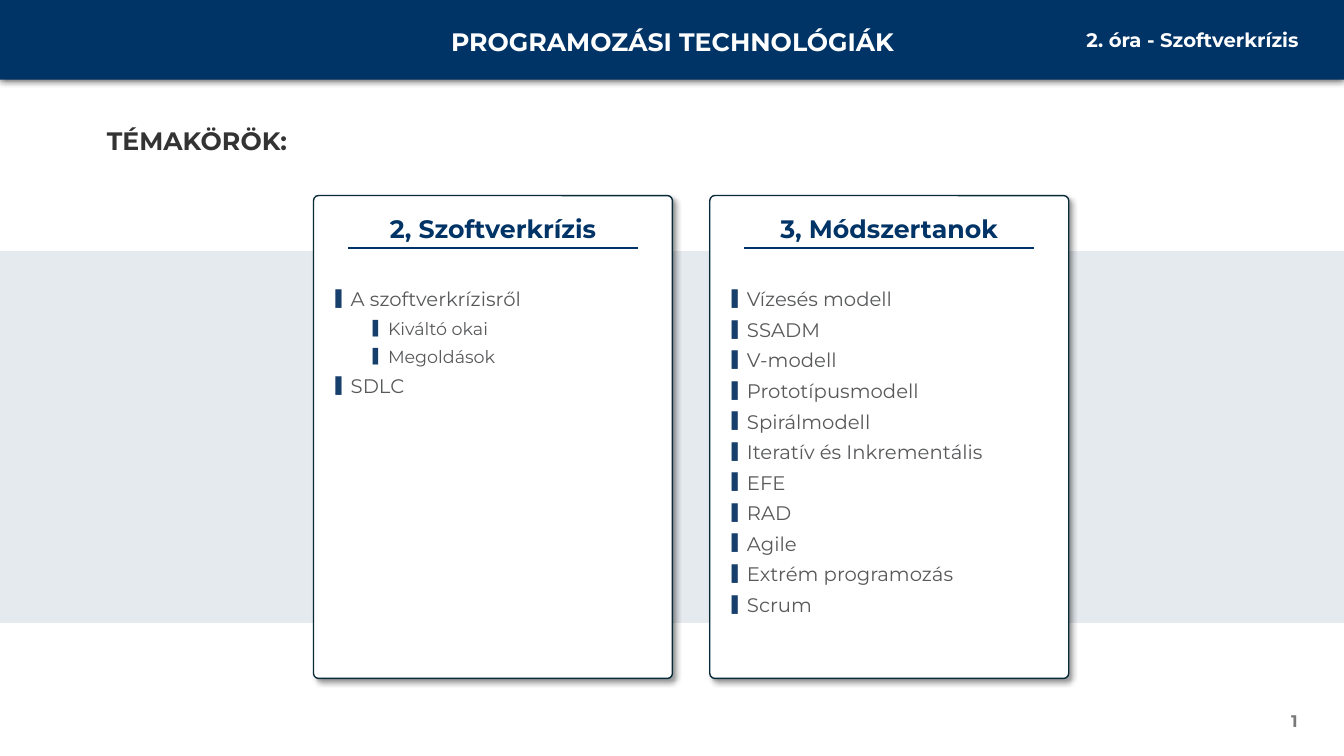
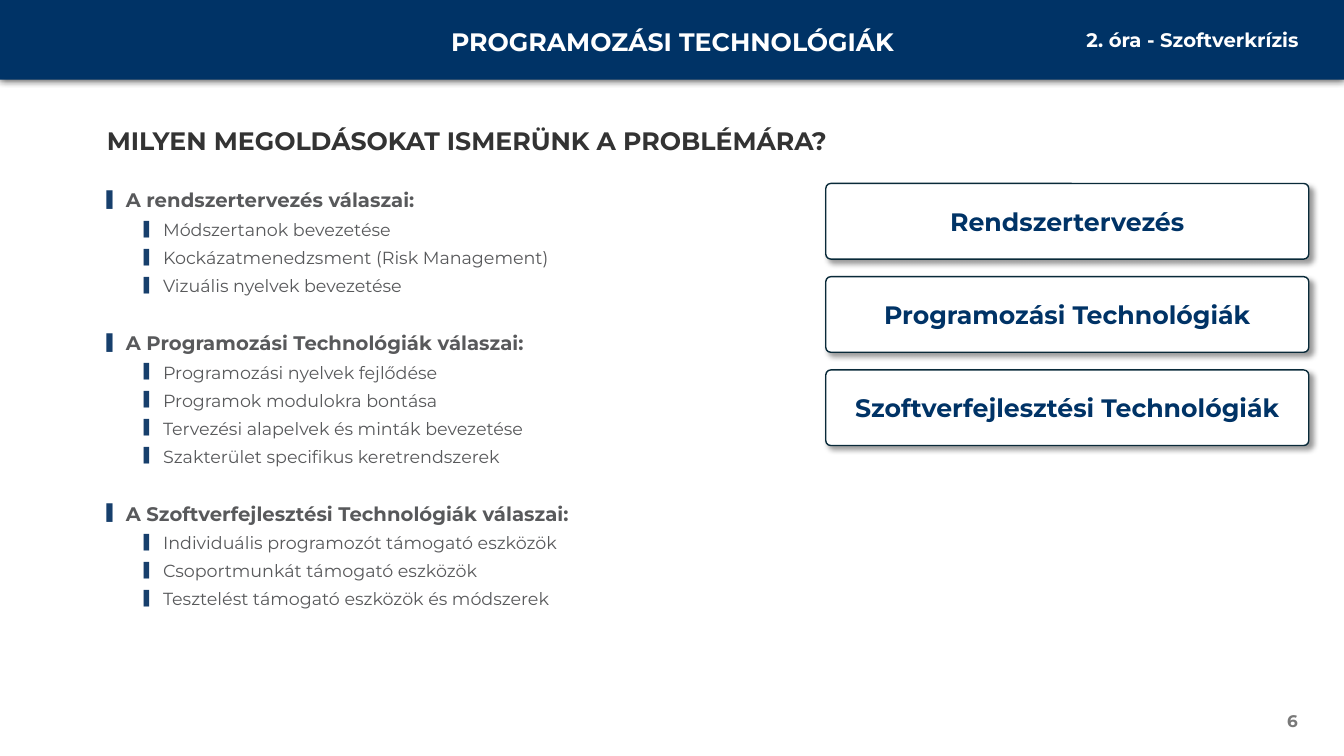
from lxml.etree import SubElement
from pptx import Presentation
from pptx.dml.color import RGBColor
from pptx.enum.shapes import MSO_CONNECTOR, MSO_SHAPE
from pptx.enum.text import MSO_ANCHOR, MSO_AUTO_SIZE, PP_ALIGN
from pptx.oxml.ns import qn
from pptx.util import Inches, Pt

WIDTH, HEIGHT = 13.33, 7.5
FONT = "Montserrat"
COLORS = {
    "navy": "003366", "white": "FFFFFF", "outline": "092A39", "heading": "333333",
    "body": "58595B", "bullet": "173F6C", "number": "797979", "shadow": "000000",
}
COURSE = "PROGRAMOZÁSI TECHNOLÓGIÁK"
LESSON = "2. óra - Szoftverkrízis"

TOPICS = {
    "title": "TÉMAKÖRÖK:",
    "number": "1",
    "columns": [
        ("2, Szoftverkrízis", [
            (0, "A szoftverkrízisről"), (1, "Kiváltó okai"), (1, "Megoldások"), (0, "SDLC"),
        ]),
        ("3, Módszertanok", [(0, method) for method in (
            "Vízesés modell", "SSADM", "V-modell", "Prototípusmodell", "Spirálmodell",
            "Iteratív és Inkrementális", "EFE", "RAD", "Agile", "Extrém programozás", "Scrum",
        )]),
    ],
}
SOLUTIONS = {
    "title": "MILYEN MEGOLDÁSOKAT ISMERÜNK A PROBLÉMÁRA?",
    "number": "6",
    "answers": [
        ("A rendszertervezés válaszai:", [
            "Módszertanok bevezetése",
            "Kockázatmenedzsment (Risk Management)",
            "Vizuális nyelvek bevezetése",
        ]),
        ("A Programozási Technológiák válaszai:", [
            "Programozási nyelvek fejlődése",
            "Programok modulokra bontása",
            "Tervezési alapelvek és minták bevezetése",
            "Szakterület specifikus keretrendszerek",
        ]),
        ("A Szoftverfejlesztési Technológiák válaszai:", [
            "Individuális programozót támogató eszközök",
            "Csoportmunkát támogató eszközök",
            "Tesztelést támogató eszközök és módszerek",
        ]),
    ],
    "fields": ["Rendszertervezés", "Programozási Technológiák", "Szoftverfejlesztési Technológiák"],
}

BAND_SHADOW = {"alpha": 80, "blur": 6, "distance": 0, "angle": 90}
CARD_SHADOW = {"alpha": 40, "blur": 4, "distance": 3, "angle": 45}
LEVELS = [{"size": Pt(14), "left": 0}, {"size": Pt(12.5), "left": 0.37}]
SECTION_GAP = 20


def rgb(name):
    return RGBColor.from_string(COLORS[name])


def box(left, top, width, height):
    return [Inches(value) for value in (left, top, width, height)]


def write(frame, text, size, color, align=PP_ALIGN.LEFT, anchor=MSO_ANCHOR.TOP):
    frame_format = {"word_wrap": True, "auto_size": MSO_AUTO_SIZE.NONE, "vertical_anchor": anchor}
    for name, value in frame_format.items():
        setattr(frame, name, value)
    paragraph = frame.paragraphs[0]
    paragraph.text, paragraph.alignment = text, align
    style(paragraph.font, Pt(size), color, True)


def style(font, size, color, bold):
    for name, value in {"name": FONT, "size": size, "bold": bold}.items():
        setattr(font, name, value)
    font.color.rgb = rgb(color)


def add_label(slide, area, *text_format):
    write(slide.shapes.add_textbox(*box(*area)).text_frame, *text_format)


def add_panel(slide, kind, area, fill, shadow=None):
    panel = slide.shapes.add_shape(kind, *box(*area))
    panel.fill.solid()
    panel.fill.fore_color.rgb = rgb(fill)
    panel.line.fill.background()
    panel.shadow.inherit = False
    if shadow:
        effects = panel._element.spPr.find(qn("a:effectLst"))
        outer = SubElement(effects, qn("a:outerShdw"), {
            "blurRad": str(Pt(shadow["blur"])), "dist": str(Pt(shadow["distance"])),
            "dir": str(shadow["angle"] * 60000), "algn": "tl", "rotWithShape": "0",
        })
        tint = SubElement(outer, qn("a:srgbClr"), val=COLORS["shadow"])
        SubElement(tint, qn("a:alpha"), val=str(shadow["alpha"] * 1000))
    return panel


def add_card(slide, area, heading, anchor):
    card = add_panel(slide, MSO_SHAPE.ROUNDED_RECTANGLE, area, "white", CARD_SHADOW)
    card.adjustments[0] = 0.05 / min(area[2:])
    card.line.color.rgb = rgb("outline")
    card.line.width = Pt(1)
    write(card.text_frame, heading, 18, "navy", PP_ALIGN.CENTER, anchor)
    return card


def add_rule(slide, left, right, y):
    rule = slide.shapes.add_connector(MSO_CONNECTOR.STRAIGHT, *box(left, y, right, y))
    rule.line.color.rgb = rgb("navy")
    rule.line.width = Pt(1.5)
    SubElement(rule._element.spPr, qn("a:effectLst"))


def add_bullets(slide, area, items, hanging, sections=False):
    frame = slide.shapes.add_textbox(*box(*area)).text_frame
    frame.word_wrap = True
    for index, (level, text) in enumerate(items):
        paragraph = frame.add_paragraph() if index else frame.paragraphs[0]
        opens_section = sections and level == 0
        gap = SECTION_GAP if opens_section and index else 0
        paragraph_format = {
            "text": text, "level": level, "space_before": Pt(3 + gap), "space_after": Pt(2),
        }
        for name, value in paragraph_format.items():
            setattr(paragraph, name, value)
        style(paragraph.font, LEVELS[level]["size"], "body", opens_section)
        properties = paragraph._p.get_or_add_pPr()
        properties.set("marL", str(Inches(LEVELS[level]["left"] + hanging)))
        properties.set("indent", str(Inches(-hanging)))
        bullet_color = SubElement(properties, qn("a:buClr"))
        SubElement(bullet_color, qn("a:srgbClr"), val=COLORS["bullet"])
        SubElement(properties, qn("a:buSzPct"), val="80000")
        SubElement(properties, qn("a:buFont"), typeface=FONT)
        SubElement(properties, qn("a:buChar"), char="▌")
        properties.append(properties.find(qn("a:defRPr")))


def add_lesson_slide(deck, content):
    slide = deck.slides.add_slide(deck.slide_layouts[5])
    title = slide.shapes.title
    title.left, title.top, title.width, title.height = box(0.96, 1.19, 8.32, 0.4)
    write(title.text_frame, content["title"], 18, "heading")
    add_panel(slide, MSO_SHAPE.RECTANGLE, (0, 0, WIDTH, 0.79), "navy", BAND_SHADOW)
    add_label(slide, (4.06, 0.21, 5.22, 0.4), COURSE, 18, "white", PP_ALIGN.CENTER)
    add_label(slide, (10.28, 0.23, 2.7, 0.34), LESSON, 14, "white", PP_ALIGN.RIGHT)
    add_label(slide, (9.97, 6.95, 3, 0.4), content["number"], 12, "number",
              PP_ALIGN.RIGHT, MSO_ANCHOR.MIDDLE)
    return slide


def add_topics(deck):
    slide = add_lesson_slide(deck, TOPICS)
    stripe = add_panel(slide, MSO_SHAPE.RECTANGLE, (0, 2.49, WIDTH, 3.69), "navy")
    stripe_color = stripe._element.spPr.find(qn("a:solidFill")).find(qn("a:srgbClr"))
    SubElement(stripe_color, qn("a:alpha"), val="10000")
    first, top, width, height, gap = 3.11, 1.94, 3.56, 4.79, 0.37
    for column, (heading, items) in enumerate(TOPICS["columns"]):
        left = first + column * (width + gap)
        card = add_card(slide, (left, top, width, height), heading, MSO_ANCHOR.TOP)
        card.text_frame.margin_top = Inches(0.16)
        add_rule(slide, left + 0.34, left + width - 0.34, 2.46)
        add_bullets(slide, (left + 0.12, 2.8, width - 0.25, 3.69), items, 0.15)


def add_solutions(deck):
    slide = add_lesson_slide(deck, SOLUTIONS)
    items = []
    for heading, answers in SOLUTIONS["answers"]:
        items += [(0, heading)] + [(1, answer) for answer in answers]
    left, top, width, height, gap = 8.19, 1.82, 4.79, 0.75, 0.175
    add_bullets(slide, (0.96, top, left - 0.96, 5.13), items, 0.19, True)
    for row, field in enumerate(SOLUTIONS["fields"]):
        area = (left, top + row * (height + gap), width, height)
        add_card(slide, area, field, MSO_ANCHOR.MIDDLE)


def main():
    """Build the two lesson slides."""
    deck = Presentation()
    deck.slide_width, deck.slide_height = Inches(WIDTH), Inches(HEIGHT)
    add_topics(deck)
    add_solutions(deck)
    deck.save("out.pptx")


if __name__ == "__main__":
    main()
